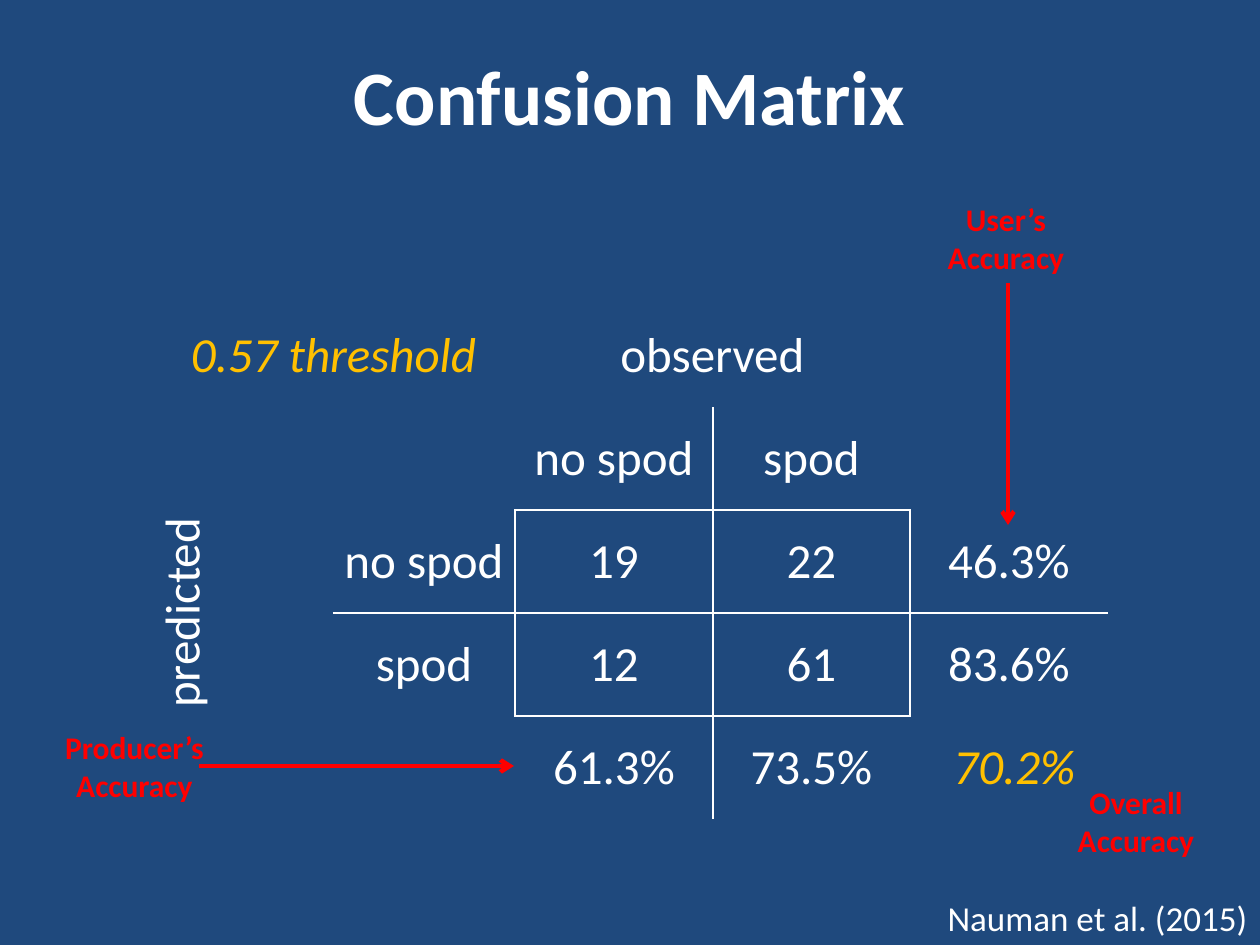
import pptx
import pptx.util
import pptx.dml.color
import pptx.enum.shapes
import pptx.enum.text
import pptx.oxml.ns
from lxml import etree

RGBColor = pptx.dml.color.RGBColor
NAVY = RGBColor(0x1F, 0x49, 0x7D)
WHITE = RGBColor(0xFF, 0xFF, 0xFF)
GOLD = RGBColor(0xFF, 0xC0, 0x00)
RED = RGBColor(0xFF, 0x00, 0x00)

FONT = "Calibri"
EMU_PER_PX = 914400 / 126
COL_WIDTHS = [181, 182, 198, 197, 198]
ROW_HEIGHT = 103
GRID_LINES = {2: (2, 4), 3: (1, 5), 4: (2, 4)}
CELLS = [
    ["0.57 threshold", "", "observed", "", ""],
    ["", "", "no spod", "spod", ""],
    ["predicted", "no spod", "19", "22", "46.3%"],
    ["", "spod", "12", "61", "83.6%"],
    ["", "", "61.3%", "73.5%", " 70.2%"],
]
HIGHLIGHTS = [(0, 0), (4, 4)]
MERGES = [((0, 0), (0, 1)), ((0, 2), (0, 3)), ((2, 0), (3, 0))]
LABELS = [
    ("User’s\nAccuracy", 935, 194, 142),
    ("Producer’s\nAccuracy", 52, 722, 165),
    ("Overall\nAccuracy", 1065, 777, 142),
]


def px(*values):
    """Turn pixel lengths into a list of EMU lengths."""
    return [pptx.util.Emu(round(v * EMU_PER_PX)) for v in values]


def format_text(tf, size, color, align="CENTER", bold=False, italic=False):
    """Apply one style to every paragraph and run of a text frame."""
    for p in tf.paragraphs:
        p.alignment = getattr(pptx.enum.text.PP_ALIGN, align)
        for r in p.runs:
            r.font.name = FONT
            r.font.size = pptx.util.Pt(size)
            r.font.bold = bold
            r.font.italic = italic
            r.font.color.rgb = color


def add_title(s, text):
    """Place and format the title placeholder."""
    sp = s.shapes.title
    sp.left, sp.top, sp.width, sp.height = px(63, 32, 1134, 126)
    sp.text_frame.text = text
    sp.text_frame.vertical_anchor = pptx.enum.text.MSO_ANCHOR.MIDDLE
    format_text(sp.text_frame, 44, WHITE, bold=True)


def add_label(s, text, box, size, color, **style):
    """Add an unwrapped text box that fits its text."""
    tf = s.shapes.add_textbox(*px(*box)).text_frame
    tf.word_wrap = False
    tf.auto_size = pptx.enum.text.MSO_AUTO_SIZE.SHAPE_TO_FIT_TEXT
    tf.text = text
    format_text(tf, size, color, **style)


def add_arrow(s, x1, y1, x2, y2):
    """Add a red straight arrow."""
    qn = pptx.oxml.ns.qn
    straight = pptx.enum.shapes.MSO_CONNECTOR.STRAIGHT
    line = s.shapes.add_connector(straight, *px(x1, y1, x2, y2))
    line.line.color.rgb = RED
    line.line.width = pptx.util.Pt(2.5)
    etree.SubElement(line.line._get_or_add_ln(), qn("a:tailEnd"), type="arrow")
    etree.SubElement(line._element.spPr, qn("a:effectLst"))


def on_grid(boundary, position):
    """Tell whether a boundary is drawn at a row or column position."""
    start, end = GRID_LINES.get(boundary, (0, 0))
    return start <= position < end


def set_borders(cell, row, col):
    """Draw the cell borders that lie on the grid and hide the rest."""
    qn = pptx.oxml.ns.qn
    sides = {
        "L": on_grid(col, row),
        "R": on_grid(col + 1, row),
        "T": on_grid(row, col),
        "B": on_grid(row + 1, col),
    }
    tcPr = cell._tc.get_or_add_tcPr()
    for side, drawn in sides.items():
        ln = etree.SubElement(tcPr, qn(f"a:ln{side}"), w=str(pptx.util.Pt(1)))
        if drawn:
            fill = etree.SubElement(ln, qn("a:solidFill"))
            etree.SubElement(fill, qn("a:srgbClr"), val=str(WHITE))
        else:
            etree.SubElement(ln, qn("a:noFill"))


def format_cell(cell, row, col):
    """Fill in and format one matrix cell."""
    set_borders(cell, row, col)
    cell.fill.background()
    cell.margin_left, cell.margin_right, cell.margin_top, cell.margin_bottom = px(1, 1, 1, 0)
    cell.vertical_anchor = pptx.enum.text.MSO_ANCHOR.MIDDLE
    cell.text_frame.text = CELLS[row][col]
    highlight = (row, col) in HIGHLIGHTS
    format_text(cell.text_frame, 28, GOLD if highlight else WHITE, italic=highlight)


def add_matrix(s):
    """Add the confusion matrix table."""
    n = len(CELLS)
    box = px(152, 304, sum(COL_WIDTHS), n * ROW_HEIGHT)
    table = s.shapes.add_table(n, len(COL_WIDTHS), *box).table
    table.first_row = False
    table.horz_banding = False
    for column, width in zip(table.columns, px(*COL_WIDTHS)):
        column.width = width
    for row, texts in enumerate(CELLS):
        table.rows[row].height = px(ROW_HEIGHT)[0]
        for col in range(len(texts)):
            format_cell(table.cell(row, col), row, col)
    for first, last in MERGES:
        table.cell(*first).merge(table.cell(*last))
    table.cell(2, 0)._tc.get_or_add_tcPr().set("vert", "vert270")


def main():
    """Build the slide and save it."""
    prs = pptx.Presentation()
    prs.slide_width, prs.slide_height = px(1260, 945)
    s = prs.slides.add_slide(prs.slide_layouts[5])
    s.background.fill.solid()
    s.background.fill.fore_color.rgb = NAVY
    add_title(s, "Confusion Matrix")
    add_matrix(s)
    add_arrow(s, 1008, 283, 1008, 525)
    add_arrow(s, 199, 766, 514, 766)
    for text, left, top, width in LABELS:
        add_label(s, text, (left, top, width, 89), 18, RED, bold=True)
    add_label(s, "Nauman et al. (2015)", (932, 890, 328, 55), 20, WHITE, align="RIGHT")
    prs.save("out.pptx")


if __name__ == "__main__":
    main()
